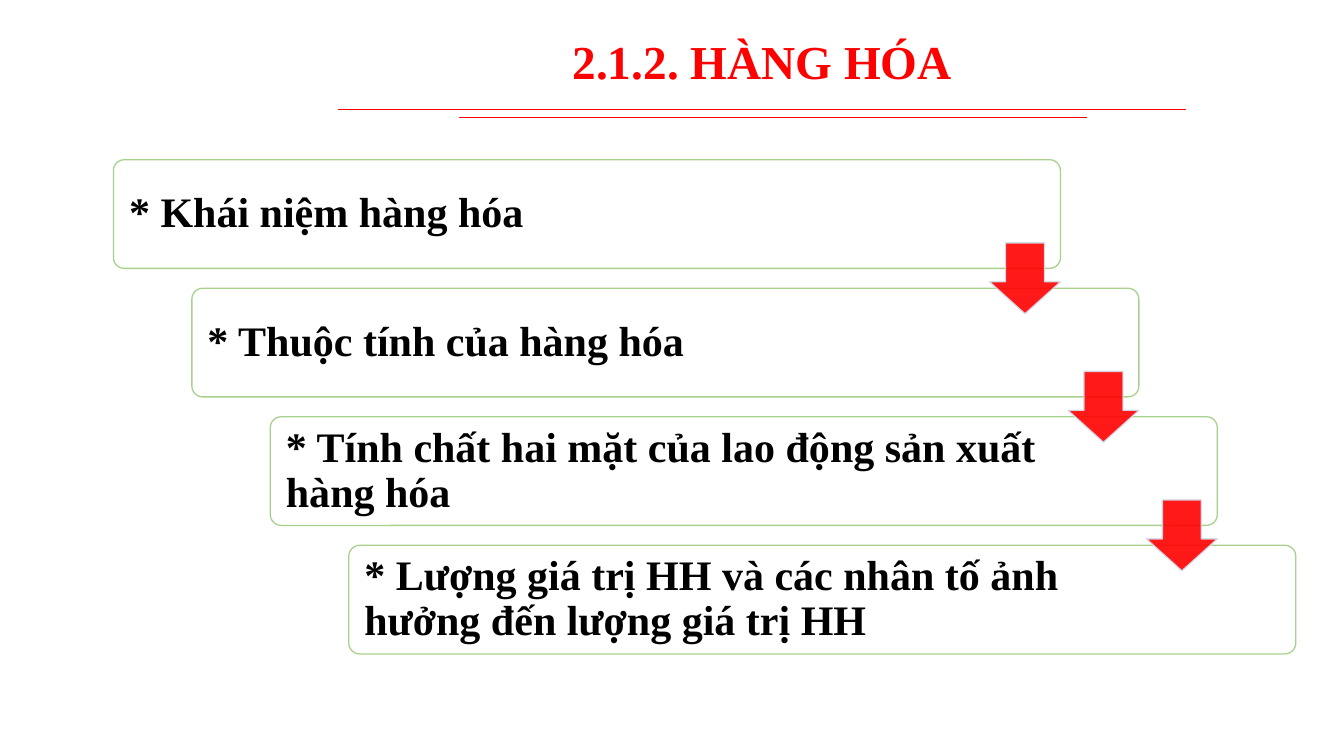
"""Build the slide that lists the four topics on goods as descending steps."""
from lxml import etree
from pptx import Presentation
from pptx.dml.color import RGBColor
from pptx.enum.shapes import MSO_CONNECTOR, MSO_SHAPE
from pptx.enum.text import MSO_ANCHOR, PP_ALIGN
from pptx.oxml.ns import qn
from pptx.util import Inches, Pt

LEFT, CENTER, JUSTIFY = PP_ALIGN.LEFT, PP_ALIGN.CENTER, PP_ALIGN.JUSTIFY
MIDDLE = MSO_ANCHOR.MIDDLE
ROUNDED, DOWN_ARROW = MSO_SHAPE.ROUNDED_RECTANGLE, MSO_SHAPE.DOWN_ARROW
STRAIGHT = MSO_CONNECTOR.STRAIGHT

HEADING = "2.1.2. HÀNG HÓA"
TOPICS = [
    ("* Khái niệm hàng hóa", LEFT, 8.68),
    ("* Thuộc tính của hàng hóa", JUSTIFY, 8.36),
    ("* Tính chất hai mặt của lao động sản xuất hàng hóa", LEFT, 8.38),
    ("* Lượng giá trị HH và các nhân tố ảnh hưởng đến lượng giá trị HH", LEFT, 8.36),
]
RULES = [(3.58, 12.55, 1.16), (4.86, 11.5, 1.24)]

THEME = {
    "font": "Times New Roman",
    "heading_size": 36,
    "topic_size": 32,
    "red": RGBColor(0xFF, 0x00, 0x00),
    "ink": RGBColor(0x00, 0x00, 0x00),
    "card": RGBColor(0xFF, 0xFF, 0xFF),
    "card_edge": RGBColor(0xA9, 0xD1, 0x8E),
    "arrow_edge": RGBColor(0xD2, 0xDE, 0xEF),
    "arrow_alpha": "90000",
}

SLIDE_W, SLIDE_H = 14.22, 8
CARD_X, CARD_Y, CARD_W, CARD_H = 1.2, 1.69, 10.02, 1.15
STEP_X, STEP_Y = 0.83, 1.36
CARD_PAD = 0.035
ARROW, ARROW_DROP = 0.75, 0.88


def add_block(slide, kind, box, adjustments, fill, edge):
    block = slide.shapes.add_shape(kind, *map(Inches, box))
    block.shadow.inherit = False
    for index, value in enumerate(adjustments):
        block.adjustments[index] = value
    block.fill.solid()
    block.fill.fore_color.rgb = fill
    block.line.color.rgb = edge
    block.line.width = Pt(1)
    return block


def add_words(slide, words, box, inset, align, size, color):
    holder = slide.shapes.add_textbox(*map(Inches, box))
    frame = holder.text_frame
    frame.word_wrap = True
    frame.vertical_anchor = MIDDLE
    frame.margin_left = frame.margin_right = Inches(inset[0])
    frame.margin_top = frame.margin_bottom = Inches(inset[1])
    paragraph = frame.paragraphs[0]
    paragraph.text = words
    paragraph.alignment = align
    paragraph.line_spacing = 0.9
    paragraph.font.name = THEME["font"]
    paragraph.font.size = Pt(size)
    paragraph.font.bold = True
    paragraph.font.color.rgb = color


def add_arrow(slide, left, top):
    arrow = add_block(slide, DOWN_ARROW, (left, top, ARROW, ARROW), (0.55, 0.45),
                      THEME["red"], THEME["arrow_edge"])
    for color in arrow._element.spPr.iter(qn("a:srgbClr")):
        etree.SubElement(color, qn("a:alpha")).set("val", THEME["arrow_alpha"])


def add_rule(slide, start, end, y):
    rule = slide.shapes.add_connector(STRAIGHT, *map(Inches, (start, y, end, y)))
    rule.line.color.rgb = THEME["red"]
    rule.line.width = Pt(0.5)
    etree.SubElement(rule._element.spPr, qn("a:effectLst"))


def main():
    deck = Presentation()
    deck.slide_width, deck.slide_height = Inches(SLIDE_W), Inches(SLIDE_H)
    slide = deck.slides.add_slide(deck.slide_layouts[6])

    corners = [(CARD_X + i * STEP_X, CARD_Y + i * STEP_Y) for i in range(len(TOPICS))]
    for (topic, align, width), (left, top) in zip(TOPICS, corners):
        add_block(slide, ROUNDED, (left, top, CARD_W, CARD_H), (0.1,),
                  THEME["card"], THEME["card_edge"])
        topic_box = (left + CARD_PAD, top + CARD_PAD, width, CARD_H - 2 * CARD_PAD)
        add_words(slide, topic, topic_box, (0.13, 0.13), align,
                  THEME["topic_size"], THEME["ink"])
    for left, top in corners[:-1]:
        add_arrow(slide, left + CARD_W - ARROW, top + ARROW_DROP)

    add_words(slide, HEADING, (2.31, 0.22, 11.51, 0.92), (0.1, 0.05), CENTER,
              THEME["heading_size"], THEME["red"])
    for rule in RULES:
        add_rule(slide, *rule)

    deck.save("out.pptx")


if __name__ == "__main__":
    main()
